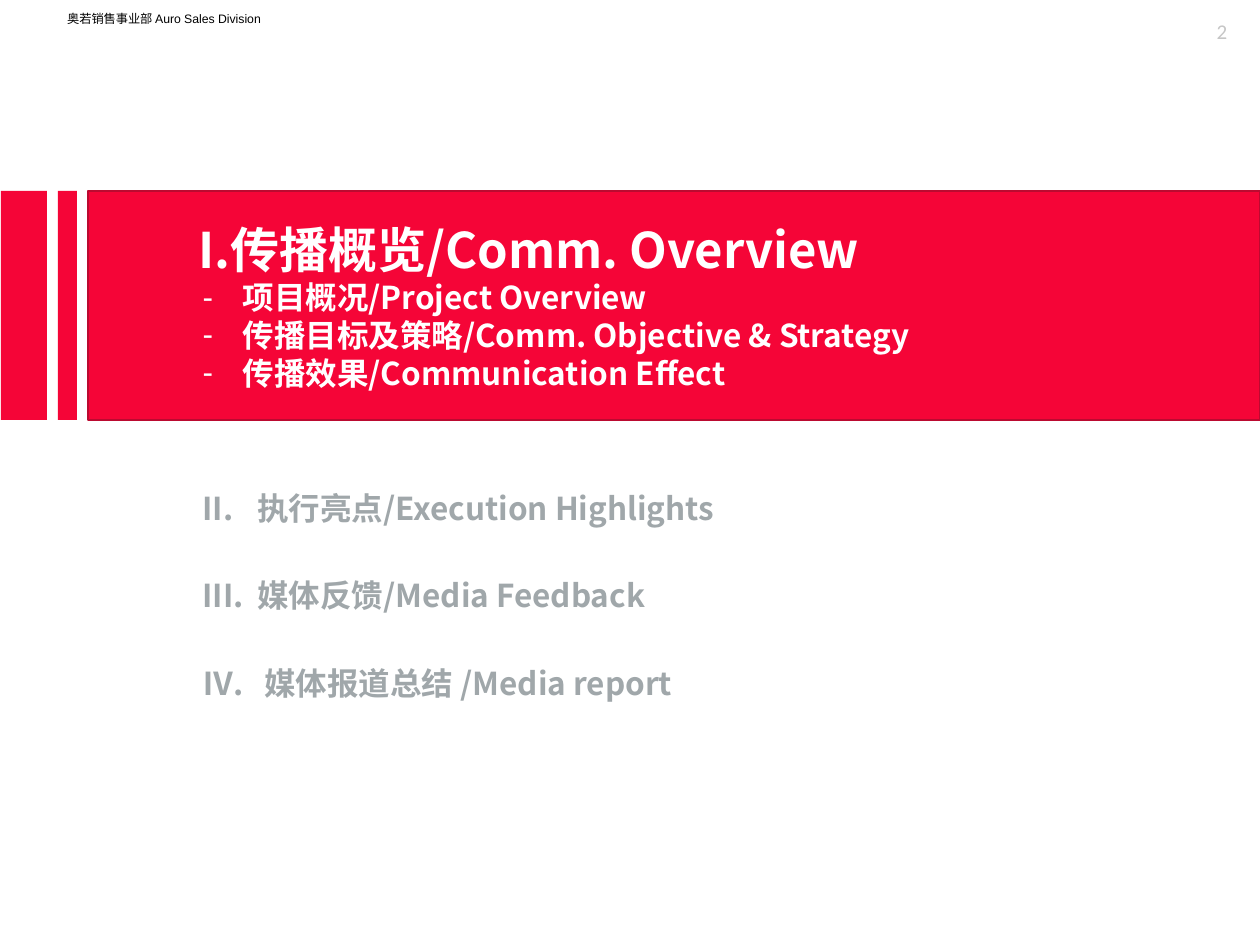
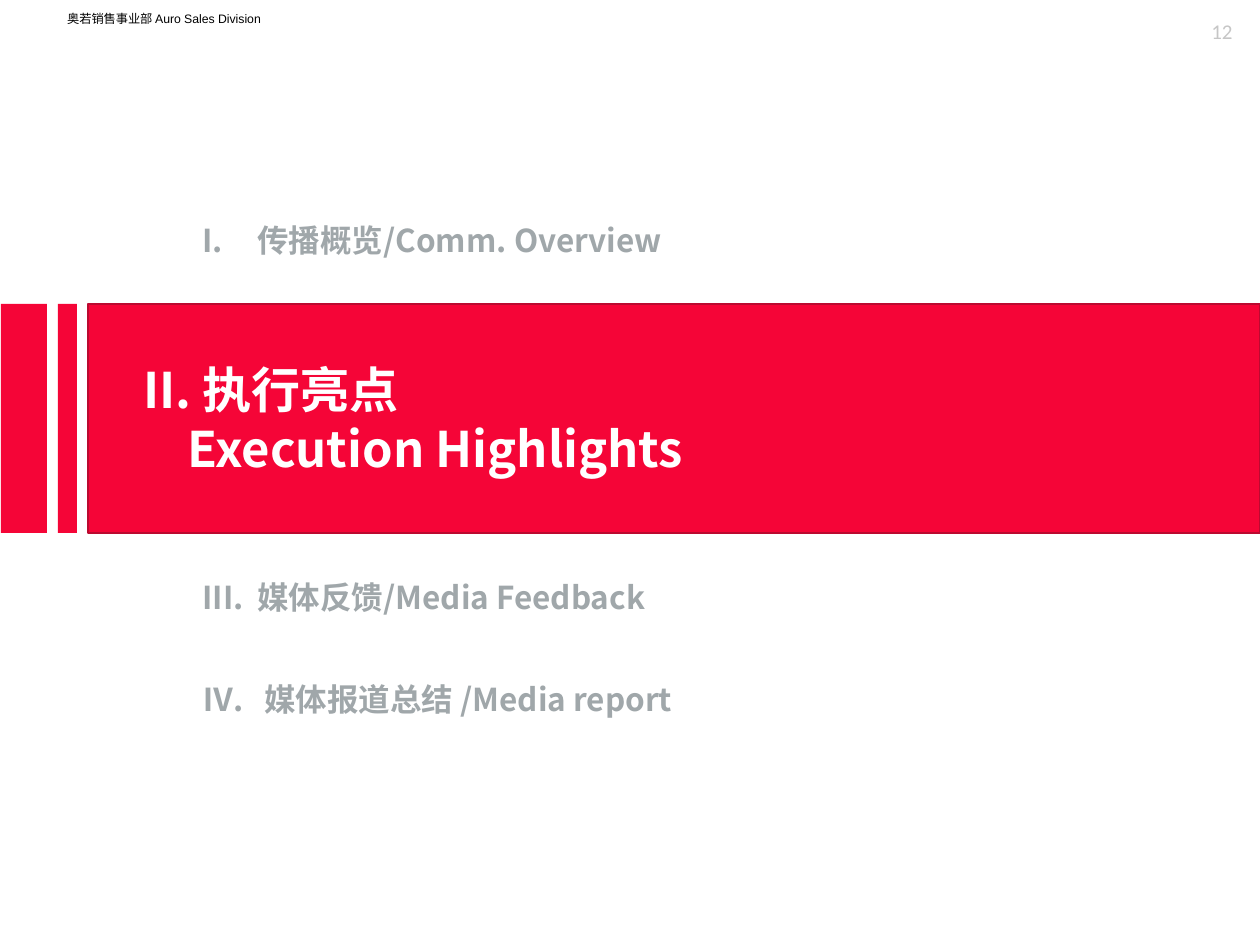
from dataclasses import dataclass
from typing import Any

from lxml.etree import SubElement as Sub
from pptx import Presentation
from pptx.dml.color import RGBColor as RGB
from pptx.enum.shapes import MSO_SHAPE as Shape
from pptx.enum.text import MSO_ANCHOR as Anchor, MSO_AUTO_SIZE as Fit, PP_ALIGN as Align
from pptx.oxml.ns import qn
from pptx.util import Emu, Pt

SCALE = 914400 / 126
RED, DEEP = RGB(0xF5, 0x05, 0x37), RGB(0xBB, 0x0A, 0x30)
WHITE, BLACK = RGB(255, 255, 255), RGB(0, 0, 0)
GREY, PALE = RGB(0xA0, 0xA7, 0xAA), RGB(0xC6, 0xC6, 0xC6)
NOTO = "Noto Sans CJK SC"

HEAD = {"size": Pt(28), "name": NOTO, "bold": True, "color": WHITE}
POINT = HEAD | {"size": Pt(18)}
ITEM = POINT | {"color": GREY}
BRAND = {"size": Pt(7), "name": "Arial", "color": BLACK}
PAGE = {"size": Pt(12), "name": "Calibri", "color": PALE}

STRIPES = ((1, 46), (58, 19))
BAND_X, BAND_W, BAND_H = 88, 1172, 229
ITEM_X = 190


@dataclass(frozen=True)
class Line:
    text: str
    style: dict[str, Any]
    left: int = 0
    first: int = 0
    mark: str = ""
    start: int = 0
    align: Align = Align.LEFT
    space: float | None = None


@dataclass(frozen=True)
class Entry:
    line: Line
    high: int = 78
    wide: int = 1142


@dataclass(frozen=True)
class Page:
    number: int
    band_y: int
    band: tuple[Line, ...]
    items: tuple[tuple[int, Entry], ...]


def px(size: int) -> Emu:
    return Emu(round(size * SCALE))


def place(shape: Any, x: int, y: int, w: int, h: int) -> None:
    for name, size in {"left": x, "top": y, "width": w, "height": h}.items():
        setattr(shape, name, px(size))


def style(font: Any, looks: dict[str, Any]) -> None:
    for name, value in looks.items():
        if name == "color":
            font.color.rgb = value
        else:
            setattr(font, name, value)


def write(frame: Any, lines: tuple[Line, ...], anchor: Anchor) -> None:
    """Fill a text frame with styled, indented and numbered lines."""
    looks = {"word_wrap": True, "auto_size": Fit.NONE, "vertical_anchor": anchor}
    for name, value in looks.items():
        setattr(frame, name, value)
    for i, line in enumerate(lines):
        para = frame.add_paragraph() if i else frame.paragraphs[0]
        props = para._p.get_or_add_pPr()
        props.set("marL", str(px(line.left)))
        props.set("indent", str(px(line.first)))
        if line.start:
            Sub(props, qn("a:buAutoNum"), type="romanUcPeriod", startAt=str(line.start))
        elif line.mark:
            Sub(props, qn("a:buFont"), typeface="Arial")
            Sub(props, qn("a:buChar"), char=line.mark)
        para.alignment = line.align
        if line.space:
            para.line_spacing = line.space
        run = para.add_run()
        run.text = line.text
        style(run.font, line.style)
        Sub(run._r.get_or_add_rPr(), qn("a:ea"), typeface=NOTO)


def label(slide: Any, line: Line, x: int, y: int, w: int, h: int,
          anchor: Anchor = Anchor.MIDDLE, inset: bool = True) -> None:
    box = slide.shapes.add_textbox(px(x), px(y), px(w), px(h))
    write(box.text_frame, (line,), anchor)
    if not inset:
        for side in ("left", "top", "right", "bottom"):
            setattr(box.text_frame, f"margin_{side}", 0)


def band(slide: Any, y: int, lines: tuple[Line, ...]) -> None:
    """Draw the red stripes and the title filled as a band."""
    for x, w in STRIPES:
        bar = slide.shapes.add_shape(Shape.RECTANGLE, px(x), px(y), px(w), px(BAND_H))
        bar.shadow.inherit = False
        bar.fill.solid()
        bar.fill.fore_color.rgb = RED
        bar.line.fill.background()
    title = slide.shapes.title
    place(title, BAND_X, y, BAND_W, BAND_H)
    title.fill.solid()
    title.fill.fore_color.rgb = RED
    title.line.color.rgb = DEEP
    title.line.width = Pt(0.75)
    write(title.text_frame, lines, Anchor.MIDDLE)


def build(deck: Any, page: Page) -> None:
    slide = deck.slides.add_slide(deck.slide_layouts[5])
    brand = Line("奥若销售事业部 Auro Sales Division", BRAND, align=Align.CENTER)
    label(slide, brand, -4, 11, 336, 15, inset=False)
    count = Line(str(page.number), PAGE, align=Align.CENTER)
    label(slide, count, 1183, 0, 78, 50, Anchor.BOTTOM)
    band(slide, page.band_y, page.band)
    for y, entry in page.items:
        label(slide, entry.line, ITEM_X, y, entry.wide, entry.high)


def item(text: str, start: int) -> Line:
    return Line(text, ITEM, 55, -55, start=start)


def point(text: str) -> Line:
    return Line(text, POINT, 142, -40, "-")


VIEW = Entry(item("传播概览/Comm. Overview", 1), high=72)
HIGHS = Entry(item("执行亮点/Execution Highlights", 2), high=72)
MEDIA = Entry(item("媒体反馈/Media Feedback", 3))
REPORT = Entry(Line("Ⅳ.\t媒体报道总结 /Media report", ITEM, 62, -62, space=1.5), wide=762)

PAGES = (
    Page(2, 191, (
        Line("传播概览/Comm. Overview", HEAD, 43, 55, start=1),
        point("项目概况/Project Overview"),
        point("传播目标及策略/Comm. Objective & Strategy"),
        point("传播效果/Communication Effect"),
    ), ((472, HIGHS), (556, MEDIA), (634, REPORT))),
    Page(12, 304, (
        Line("II. 执行亮点", HEAD, 43),
        Line("Execution Highlights", HEAD, 87),
    ), ((204, VIEW), (558, MEDIA), (651, REPORT))),
)


def main() -> None:
    deck = Presentation()
    deck.slide_width, deck.slide_height = px(1260), px(945)
    for page in PAGES:
        build(deck, page)
    deck.save("out.pptx")


if __name__ == "__main__":
    main()
